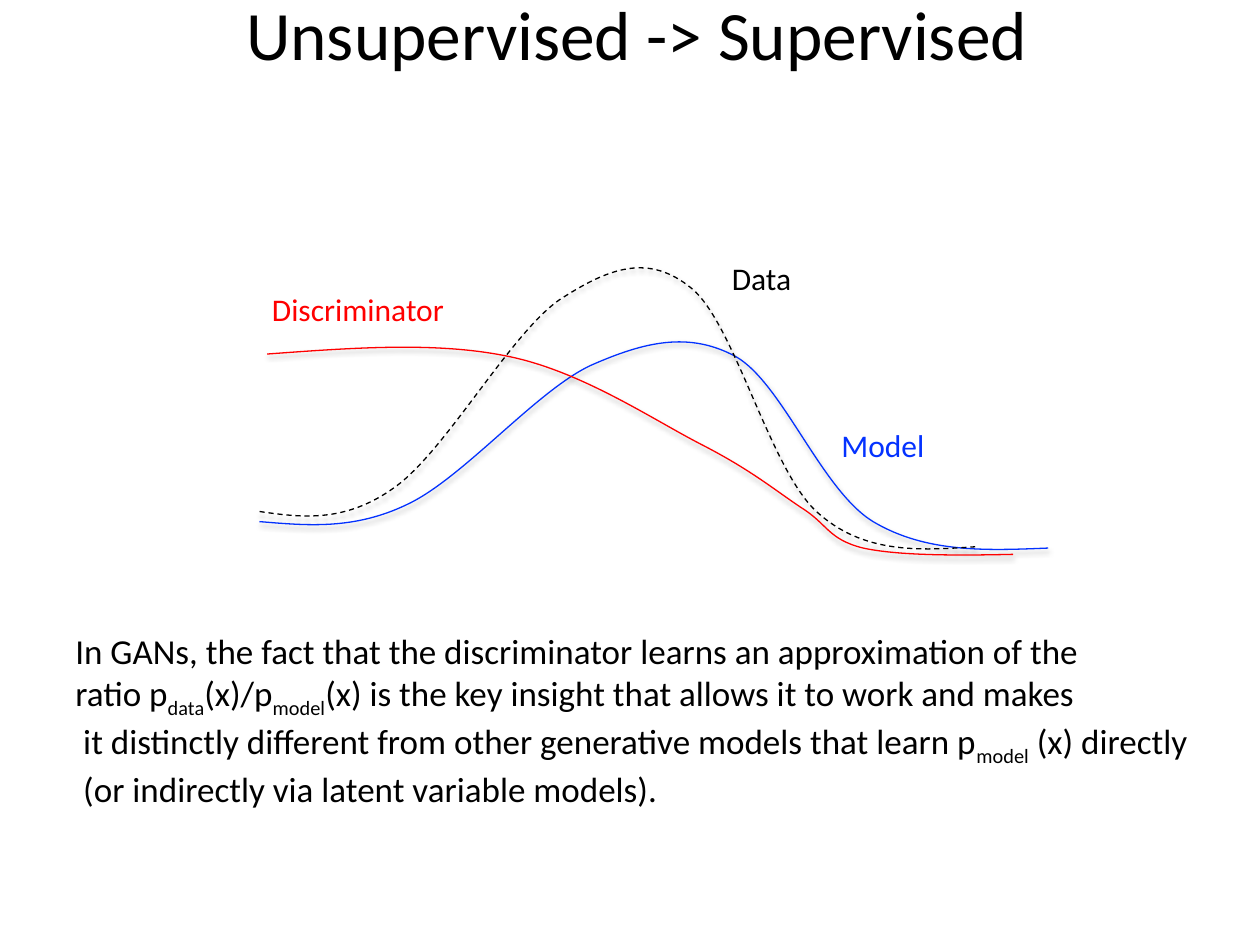
from lxml import etree
from pptx import Presentation, util as u
from pptx.dml.color import RGBColor
from pptx.enum import dml, text
from pptx.oxml import ns

COLORS = {"black": "000000", "blue": "0432FF", "red": "FF0000"}
FONT = "Calibri"


def add(parent, tag, **attrs):
    return etree.SubElement(parent, ns.qn(tag), **attrs)


class Page:
    def __init__(self, deck):
        self.slide = deck.slides.add_slide(deck.slide_layouts[6])

    def label(self, box, words, size, color="black", wrap=False,
              align=text.PP_ALIGN.LEFT, anchor=text.MSO_ANCHOR.TOP):
        """Text box; parts between underscores become subscripts."""
        shape = self.slide.shapes.add_textbox(*map(u.Inches, box))
        frame = shape.text_frame
        frame.word_wrap = wrap
        frame.vertical_anchor = anchor
        for i, row in enumerate(words.split("\n")):
            para = frame.paragraphs[0] if i == 0 else frame.add_paragraph()
            para.alignment = align
            for j, part in enumerate(row.split("_")):
                run = para.add_run()
                run.text = part
                run.font.name = FONT
                run.font.size = u.Pt(size)
                run.font.color.rgb = RGBColor.from_string(COLORS[color])
                if j % 2:
                    run._r.get_or_add_rPr().set("baseline", "-25000")

    def curve(self, box, nodes, color, dash=None):
        """Smooth open line: a start, then triples of control, control, end."""
        spots = [(u.Inches(x), u.Inches(y)) for x, y in nodes]
        pen = self.slide.shapes.build_freeform(*spots[0])
        pen.add_line_segments(spots[1:], close=False)
        shape = pen.convert_to_shape()
        shape.left, shape.top, shape.width, shape.height = map(u.Inches, box)
        self.bend(shape, spots)
        shape.fill.background()
        shape.line.color.rgb = RGBColor.from_string(COLORS[color])
        shape.line.width = u.Pt(0.75)
        if dash:
            shape.line.dash_style = dash
        self.shade(shape)

    def bend(self, shape, spots):
        """Turn the straight outline into cubic curves."""
        trace = next(shape._element.iter(ns.qn("a:path")))
        for step in list(trace):
            trace.remove(step)
        trace.set("w", str(shape.width))
        trace.set("h", str(shape.height))
        for i, (x, y) in enumerate(spots):
            if i == 0:
                step = add(trace, "a:moveTo")
            elif i % 3 == 1:
                step = add(trace, "a:cubicBezTo")
            add(step, "a:pt", x=str(x - shape.left), y=str(y - shape.top))

    def shade(self, shape):
        """Soft shadow straight below the line."""
        shape.shadow.inherit = False
        effects = shape._element.spPr.find(ns.qn("a:effectLst"))
        outer = add(effects, "a:outerShdw", blurRad=str(u.Pt(3.1)),
                    dist=str(u.Pt(1.8)), dir="5400000", rotWithShape="0")
        tint = add(outer, "a:srgbClr", val=COLORS["black"])
        add(tint, "a:alpha", val="35000")


def main():
    deck = Presentation()
    deck.slide_width, deck.slide_height = u.Inches(10), u.Inches(7.5)
    page = Page(deck)

    # Title
    page.label((0.5, 0.06, 9.11, 0.4), "Unsupervised -> Supervised", 39.6,
               wrap=True, align=text.PP_ALIGN.CENTER,
               anchor=text.MSO_ANCHOR.MIDDLE)

    # Model density
    page.curve((2.06, 2.71, 6.26, 1.65),
               [(2.06, 4.14), (2.43, 4.17), (2.81, 4.21), (3.24, 4),
                (3.68, 3.79), (4.26, 3.1), (4.69, 2.9),
                (5.12, 2.71), (5.47, 2.63), (5.84, 2.83),
                (6.21, 3.04), (6.52, 3.89), (6.93, 4.14),
                (7.35, 4.39), (7.83, 4.37), (8.32, 4.35)], "blue")

    # Data density
    page.curve((2.06, 2.12, 5.68, 2.23),
               [(2.06, 4.06), (2.4, 4.11), (2.74, 4.15), (3.13, 3.87),
                (3.53, 3.59), (4.05, 2.65), (4.44, 2.38),
                (4.84, 2.12), (5.15, 2.01), (5.49, 2.29),
                (5.83, 2.57), (6.11, 3.72), (6.48, 4.06),
                (6.85, 4.4), (7.3, 4.37), (7.74, 4.34)],
               "black", dml.MSO_LINE.DASH)
    page.label((5.71, 2.01, 0.68, 0.4), "Data", 18)
    page.label((6.58, 3.33, 0.87, 0.4), "Model", 18, "blue")

    # Discriminator
    page.curve((2.12, 2.76, 5.92, 1.65),
               [(2.12, 2.81), (2.8, 2.76), (3.47, 2.71), (4.04, 2.83),
                (4.62, 2.95), (5.18, 3.33), (5.57, 3.53),
                (5.96, 3.73), (6.15, 3.89), (6.36, 4.03),
                (6.57, 4.16), (6.57, 4.28), (6.85, 4.35),
                (7.13, 4.41), (7.58, 4.41), (8.04, 4.4)], "red")
    page.label((2.06, 2.25, 1.58, 0.4), "Discriminator", 18, "red")

    # Explanation
    page.label(
        (0.5, 4.95, 9.36, 1.78),
        "In GANs, the fact that the discriminator learns an approximation of the\n"
        "ratio p_data_(x)/p_model_(x) is the key insight that allows it to work and makes\n"
        " it distinctly different from other generative models that learn p_model_ (x) directly\n"
        " (or indirectly via latent variable models).", 20)

    deck.save("out.pptx")


if __name__ == "__main__":
    main()
